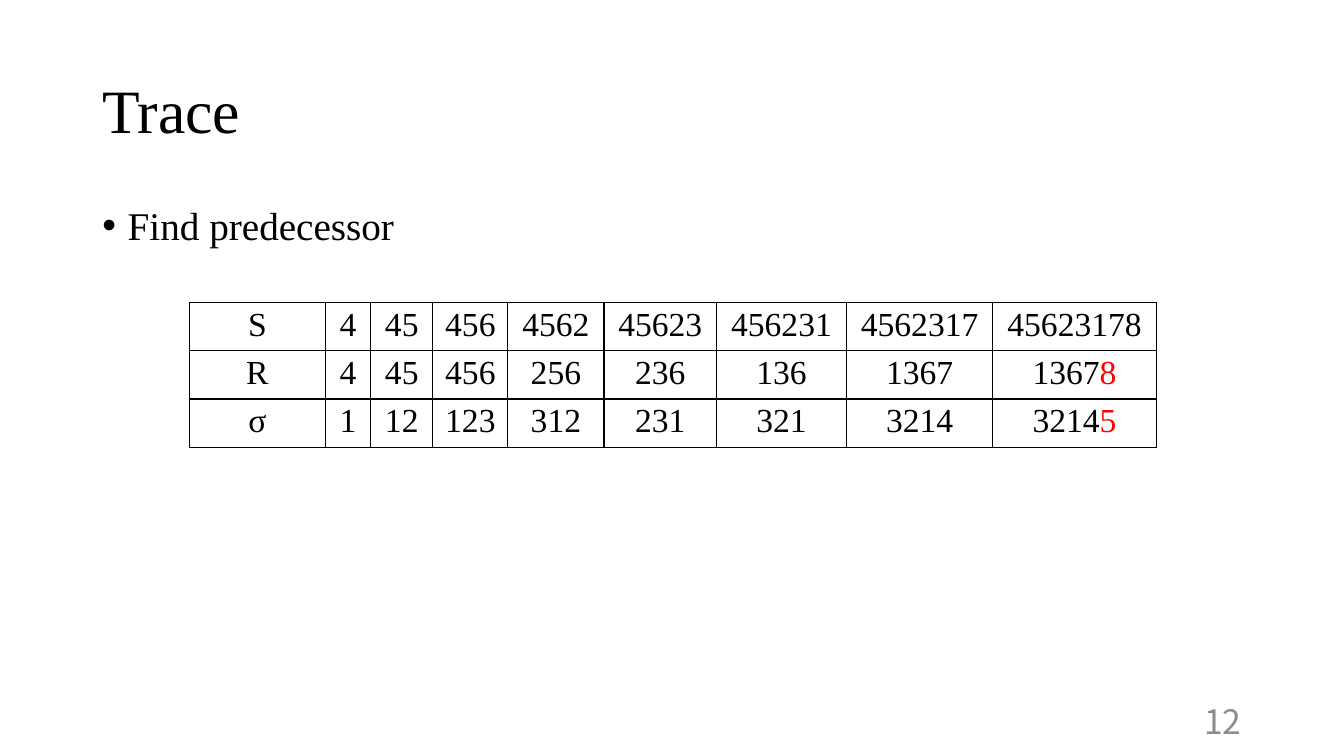
"""Builds the Trace slide with its predecessor table."""
from lxml import etree
from pptx import Presentation
from pptx.dml.color import RGBColor
from pptx.enum.text import MSO_ANCHOR, PP_ALIGN
from pptx.oxml import parse_xml
from pptx.oxml.ns import nsdecls, qn
from pptx.util import Cm, Pt

BLACK = RGBColor(0, 0, 0)
RED = RGBColor(255, 0, 0)
GREY = RGBColor(0x8C, 0x8C, 0x8C)
SERIF = "Times New Roman"
SANS = "Noto Sans CJK JP"
TOP, MIDDLE = MSO_ANCHOR.TOP, MSO_ANCHOR.MIDDLE
LEFT, CENTER, RIGHT = PP_ALIGN.LEFT, PP_ALIGN.CENTER, PP_ALIGN.RIGHT


def add_run(para, text, size, color=BLACK, face=SERIF):
    run = para.add_run()
    run.text = text
    for key, value in {"size": Pt(size), "name": face}.items():
        setattr(run.font, key, value)
    run.font.color.rgb = color


def add_text(box, anchor, form):
    frame = slide.shapes.add_textbox(*map(Cm, box)).text_frame
    frame.word_wrap = True
    frame.vertical_anchor = anchor
    para = frame.paragraphs[0]
    for key, value in form.items():
        setattr(para, key, value)
    return para


deck = Presentation()
deck.slide_width, deck.slide_height = Cm(33.87), Cm(19.05)
slide = deck.slides.add_slide(deck.slide_layouts[6])

title = add_text((2.33, 1.01, 29.21, 3.68), MIDDLE, {"line_spacing": 0.9})
add_run(title, "Trace", 44)

point = add_text((2.33, 5.07, 29.21, 12.09), TOP, {"alignment": LEFT, "line_spacing": 0.9})
props = point._p.get_or_add_pPr()
props.set("marL", str(Cm(0.64)))
props.set("indent", str(-Cm(0.64)))
font = etree.SubElement(props, qn("a:buFont"))
font.set("typeface", "Arial")
bullet = etree.SubElement(props, qn("a:buChar"))
bullet.set("char", "•")
add_run(point, "Find predecessor", 28)

number = add_text((23.92, 17.66, 7.62, 1.01), MIDDLE, {"alignment": RIGHT})
add_run(number, "12", 24, GREY, SANS)

WIDTHS = [3.43, 1.14, 1.57, 1.89, 2.42, 2.84, 3.27, 3.69, 4.12]
ROWS = [
    "S 4 45 456 4562 45623 456231 4562317 45623178".split(),
    "R 4 45 456 256 236 136 1367 1367".split(),
    "σ 1 12 123 312 231 321 3214 3214".split(),
]
ENDS = ["", "8", "5"]
HEIGHT = 1.19
CELL = {"margin_top": Cm(0.1), "margin_bottom": Cm(0.1), "vertical_anchor": TOP}

table = slide.shapes.add_table(
    len(ROWS), len(WIDTHS), Cm(4.77), Cm(7.62), Cm(sum(WIDTHS)), Cm(HEIGHT * len(ROWS))
).table
table.first_row = table.horz_banding = False
for col, width in zip(table.columns, WIDTHS):
    col.width = Cm(width)
for row, words, end in zip(table.rows, ROWS, ENDS):
    row.height = Cm(HEIGHT)
    for cell, word in zip(row.cells, words):
        for key, value in CELL.items():
            setattr(cell, key, value)
        cell.fill.background()
        para = cell.text_frame.paragraphs[0]
        para.alignment = CENTER
        add_run(para, word, 24)
        props = cell._tc.get_or_add_tcPr()
        for place, side in enumerate("LRTB"):
            props.insert(place, parse_xml(
                f'<a:ln{side} {nsdecls("a")} w="{Pt(1)}"><a:solidFill>'
                f'<a:srgbClr val="{BLACK}"/></a:solidFill></a:ln{side}>'
            ))
    if end:
        add_run(para, end, 24, RED)

deck.save("out.pptx")
